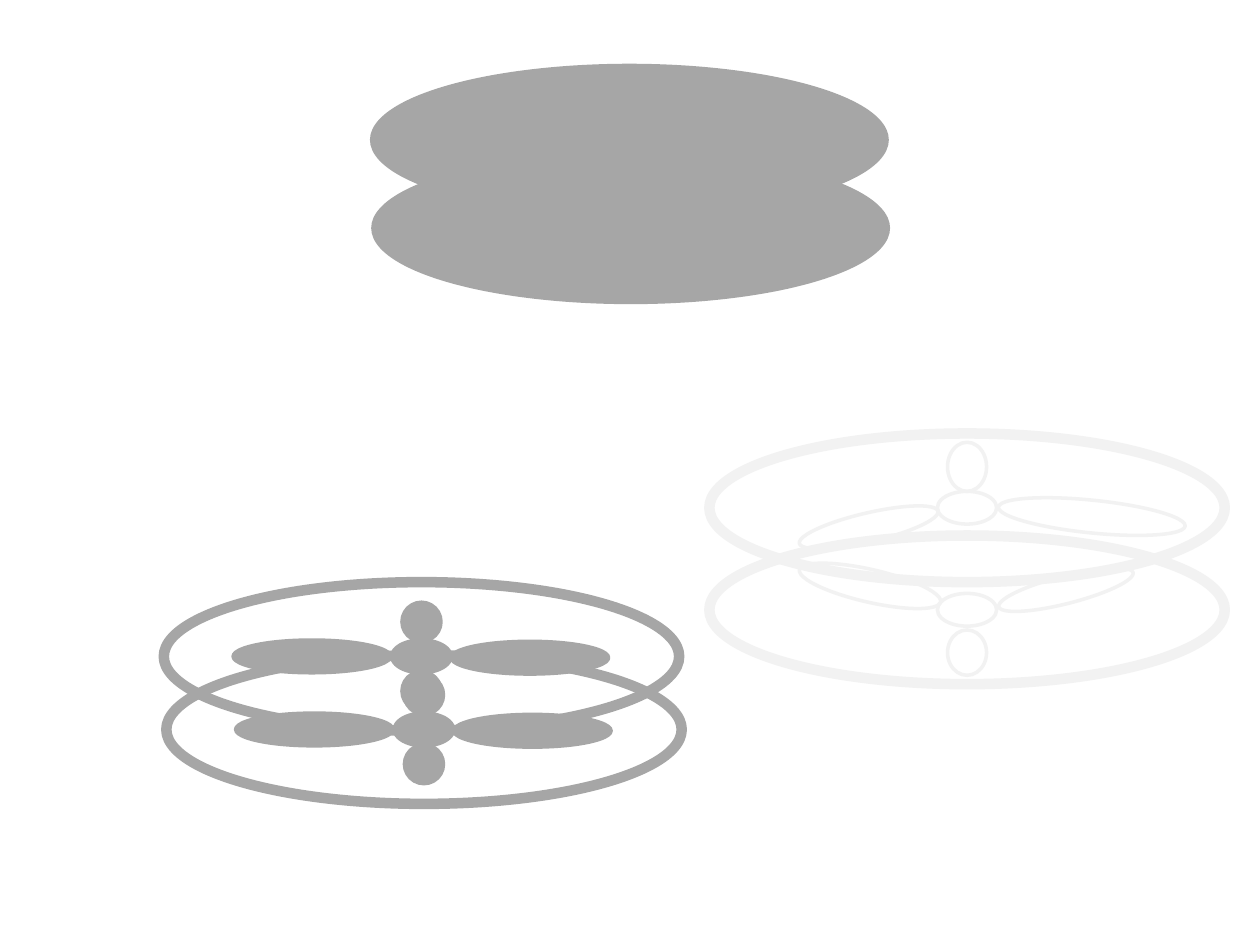
from pptx import Presentation
from pptx.dml.color import RGBColor
from pptx.enum.shapes import MSO_SHAPE as Shape
from pptx.util import Inches, Pt

GRAY = "A6A6A6"
PALE = "F2F2F2"
DISC_SIZE = (4.09, 1.18)
HUB_SIZE = (0.47, 0.26)
BLADE_SIZE = (1.25, 0.26)
KNOB_SIZE = (0.31, 0.31)


def rgb(color):
    """Turn a hex string into a colour."""
    return RGBColor.from_string(color)


def add_ellipse(shapes, left, top, size, color, filled=False, weight=2, angle=0):
    """Add an ellipse that is solid or only outlined."""
    ellipse = shapes.add_shape(Shape.OVAL, *map(Inches, (left, top, *size)))
    ellipse.shadow.inherit = False
    ellipse.rotation = angle
    ellipse.line.color.rgb = rgb(color)
    ellipse.line.width = Pt(weight)
    if filled:
        ellipse.fill.solid()
        ellipse.fill.fore_color.rgb = rgb(color)
    else:
        ellipse.fill.background()


def add_ring(shapes, left, top, color):
    """Add the thick rim of a rotor."""
    add_ellipse(shapes, left, top, DISC_SIZE, color, weight=6)


def add_solid_rotor(shapes, left, top):
    """Add a rim with a solid hub, two blades and two knobs."""
    add_ring(shapes, left, top, GRAY)
    parts = [
        (1.81, 0.46, HUB_SIZE),
        (0.55, 0.46, BLADE_SIZE),
        (2.28, 0.47, BLADE_SIZE),
        (1.89, 0.16, KNOB_SIZE),
        (1.89, 0.71, KNOB_SIZE),
    ]
    for x, y, size in parts:
        add_ellipse(shapes, left + x, top + y, size, GRAY, filled=True)


def add_outlined_rotor(shapes, left, top, parts):
    """Add a grouped rim with an outlined hub and the given tilted parts."""
    rotor = shapes.add_group_shape().shapes
    add_ring(rotor, left, top, PALE)
    add_ellipse(rotor, left + 1.81, top + 0.46, HUB_SIZE, PALE)
    for x, y, size, angle in parts:
        add_ellipse(rotor, left + x, top + y, size, PALE, angle=angle)


def main():
    """Build and save the slide."""
    deck = Presentation()
    deck.slide_width, deck.slide_height = Inches(10), Inches(7.5)
    shapes = deck.slides.add_slide(deck.slide_layouts[6]).shapes

    for left, top in [(2.95, 0.52), (2.96, 1.22)]:
        add_ellipse(shapes, left, top, DISC_SIZE, GRAY, filled=True)

    for left, top in [(1.32, 5.2), (1.3, 4.62)]:
        add_solid_rotor(shapes, left, top)

    upper_parts = [
        (2.29, 0.53, (1.49, 0.26), 5.8),
        (1.89, 0.07, (0.31, 0.39), 0),
        (0.7, 0.63, (1.13, 0.23), 346.9),
    ]
    lower_parts = [
        (2.28, 0.32, (1.1, 0.22), 345.7),
        (1.89, 0.75, (0.31, 0.36), 0),
        (0.7, 0.27, (1.15, 0.26), 12.9),
    ]
    add_outlined_rotor(shapes, 5.63, 3.44, upper_parts)
    add_outlined_rotor(shapes, 5.63, 4.25, lower_parts)

    deck.save("out.pptx")


if __name__ == "__main__":
    main()
